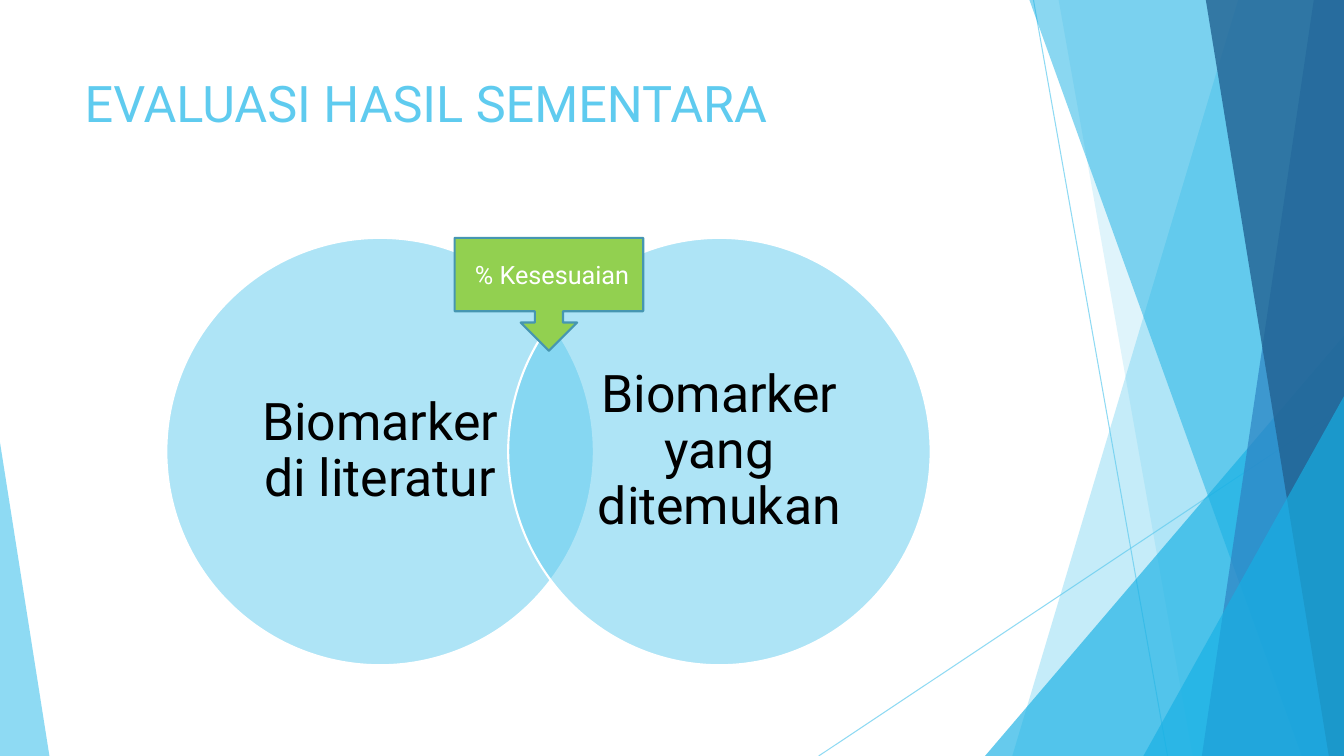
"""Build the slide that compares biomarkers in the literature with those found."""
from dataclasses import dataclass
from typing import Any

import lxml.etree
import pptx
import pptx.dml.color
import pptx.enum.shapes
import pptx.enum.text
import pptx.oxml.ns
import pptx.util

Inches = pptx.util.Inches
Pt = pptx.util.Pt
qn = pptx.oxml.ns.qn
Preset = pptx.enum.shapes.MSO_SHAPE
Align = pptx.enum.text.PP_ALIGN
Anchor = pptx.enum.text.MSO_ANCHOR

WIDTH, HEIGHT = 13.33, 7.5
FONT = "Roboto"
SKY, AZURE, WHITE = "5FCBEF", "17B0E4", "FFFFFF"


@dataclass(frozen=True)
class Ray:
    start: tuple[float, float]
    end: tuple[float, float]


@dataclass(frozen=True)
class Band:
    top_x: float
    bottom_x: float
    color: str
    opacity: int


@dataclass(frozen=True)
class Corner:
    left: float
    top: float
    width: float
    apex: float
    color: str
    opacity: int


@dataclass(frozen=True)
class Circle:
    left: float
    width: float
    label: str


RAYS = [Ray((10.25, 0), (11.58, HEIGHT)), Ray((WIDTH, 4.03), (8.12, HEIGHT))]
FACETS = [
    Band(12.28, 10.04, SKY, 36),
    Band(10.5, 11.83, SKY, 20),
    Corner(9.77, 3.33, 3.56, 1, AZURE, 66),
    Band(10.21, 12.91, AZURE, 50),
    Band(13.03, 11.92, "2E83C3", 70),
    Band(11.96, 13.18, "226292", 80),
    Corner(11.34, 3.93, 1.99, 1, AZURE, 66),
    Corner(0, 4.39, 0.49, 0, SKY, 70),
]
CIRCLE_TOP, CIRCLE_HEIGHT = 2.36, 4.24
CIRCLES = [
    Circle(1.65, 4.24, "Biomarker di literatur"),
    Circle(5.04, 4.19, "Biomarker yang ditemukan"),
]


def rgb(color: str) -> pptx.dml.color.RGBColor:
    """Turn a hex string into a colour."""
    return pptx.dml.color.RGBColor.from_string(color)


def set_opacity(solid_fill: Any, percent: int) -> None:
    """Make a solid fill element partly transparent."""
    lxml.etree.SubElement(solid_fill[0], qn("a:alpha"), val=str(percent * 1000))


def paint(shape: Any, color: str, opacity: int = 100, outline: str = "") -> None:
    """Give a shape its fill and outline, without a shadow."""
    shape.shadow.inherit = False
    shape.fill.solid()
    shape.fill.fore_color.rgb = rgb(color)
    if opacity < 100:
        set_opacity(shape.element.spPr.find(qn("a:solidFill")), opacity)
    if outline:
        shape.line.color.rgb = rgb(outline)
        shape.line.width = Pt(1.5)
    else:
        shape.line.fill.background()


def write(shape: Any, text: str, size: float, color: str, frame_format: dict[str, Any],
          paragraph_format: dict[str, Any]) -> None:
    """Write one formatted paragraph into a shape."""
    frame = shape.text_frame
    frame.text = text
    paragraph = frame.paragraphs[0]
    font_format = {"name": FONT, "size": Pt(size)}
    formats = [
        (frame, {"word_wrap": True, **frame_format}),
        (paragraph, paragraph_format),
        (paragraph.runs[0].font, font_format),
    ]
    for target, values in formats:
        for name, value in values.items():
            setattr(target, name, value)
    paragraph.runs[0].font.color.rgb = rgb(color)


def draw_ray(shapes: Any, ray: Ray) -> None:
    """Draw a thin translucent line."""
    ends = [Inches(value) for value in ray.start + ray.end]
    connector = shapes.add_connector(pptx.enum.shapes.MSO_CONNECTOR.STRAIGHT, *ends)
    connector.line.color.rgb = rgb(SKY)
    connector.line.width = Pt(0.75)
    properties = connector.element.spPr
    set_opacity(properties.find(qn("a:ln")).find(qn("a:solidFill")), 70)
    lxml.etree.SubElement(properties, qn("a:effectLst"))


def draw_band(shapes: Any, band: Band) -> None:
    """Draw a full-height facet that reaches the right edge."""
    builder = shapes.build_freeform(Inches(band.top_x), 0)
    corners = [(WIDTH, 0), (WIDTH, HEIGHT), (band.bottom_x, HEIGHT)]
    builder.add_line_segments([(Inches(x), Inches(y)) for x, y in corners], close=True)
    paint(builder.convert_to_shape(), band.color, band.opacity)


def draw_corner(shapes: Any, corner: Corner) -> None:
    """Draw a right triangle that stands on the bottom edge."""
    shape = shapes.add_shape(
        Preset.ISOSCELES_TRIANGLE, Inches(corner.left), Inches(corner.top),
        Inches(corner.width), Inches(HEIGHT - corner.top))
    shape.adjustments[0] = corner.apex
    paint(shape, corner.color, corner.opacity)


def draw_circle(shapes: Any, circle: Circle) -> None:
    """Draw one Venn circle with its label in the inscribed box."""
    shape = shapes.add_shape(
        Preset.OVAL, Inches(circle.left), Inches(CIRCLE_TOP),
        Inches(circle.width), Inches(CIRCLE_HEIGHT))
    paint(shape, SKY, 50, WHITE)
    half = 0.5 ** 0.5
    inset = (1 - half) / 2
    label = shapes.add_textbox(
        Inches(circle.left + circle.width * inset),
        Inches(CIRCLE_TOP + CIRCLE_HEIGHT * inset),
        Inches(circle.width * half), Inches(CIRCLE_HEIGHT * half))
    write(label, circle.label, 37, "000000",
          {"vertical_anchor": Anchor.MIDDLE, "margin_left": Inches(0.23),
           "margin_right": Inches(0.23)},
          {"alignment": Align.CENTER, "line_spacing": 0.9})


def draw_callout(shapes: Any) -> None:
    """Draw the arrow callout that points at the overlap."""
    callout = shapes.add_shape(
        Preset.DOWN_ARROW_CALLOUT, Inches(4.51), Inches(CIRCLE_TOP), Inches(1.87), Inches(1.12))
    paint(callout, "92D050", outline="4696B1")
    write(callout, " % Kesesuaian", 18, WHITE,
          {"vertical_anchor": Anchor.MIDDLE}, {"alignment": Align.CENTER})


def place_title(title: Any) -> None:
    """Move and format the title placeholder."""
    box = {"left": 0.74, "top": 0.67, "width": 9.4, "height": 1.44}
    for name, value in box.items():
        setattr(title, name, Inches(value))
    write(title, "EVALUASI HASIL SEMENTARA", 36, SKY,
          {"vertical_anchor": Anchor.TOP, "auto_size": pptx.enum.text.MSO_AUTO_SIZE.NONE},
          {"alignment": Align.LEFT})


def main() -> None:
    """Build and save the presentation."""
    presentation = pptx.Presentation()
    presentation.slide_width = Inches(WIDTH)
    presentation.slide_height = Inches(HEIGHT)
    slide = presentation.slides.add_slide(presentation.slide_layouts[5])
    shapes = slide.shapes
    place_title(shapes.title)
    for ray in RAYS:
        draw_ray(shapes, ray)
    for facet in FACETS:
        if isinstance(facet, Band):
            draw_band(shapes, facet)
        else:
            draw_corner(shapes, facet)
    for circle in CIRCLES:
        draw_circle(shapes, circle)
    draw_callout(shapes)
    presentation.save("out.pptx")


if __name__ == "__main__":
    main()
